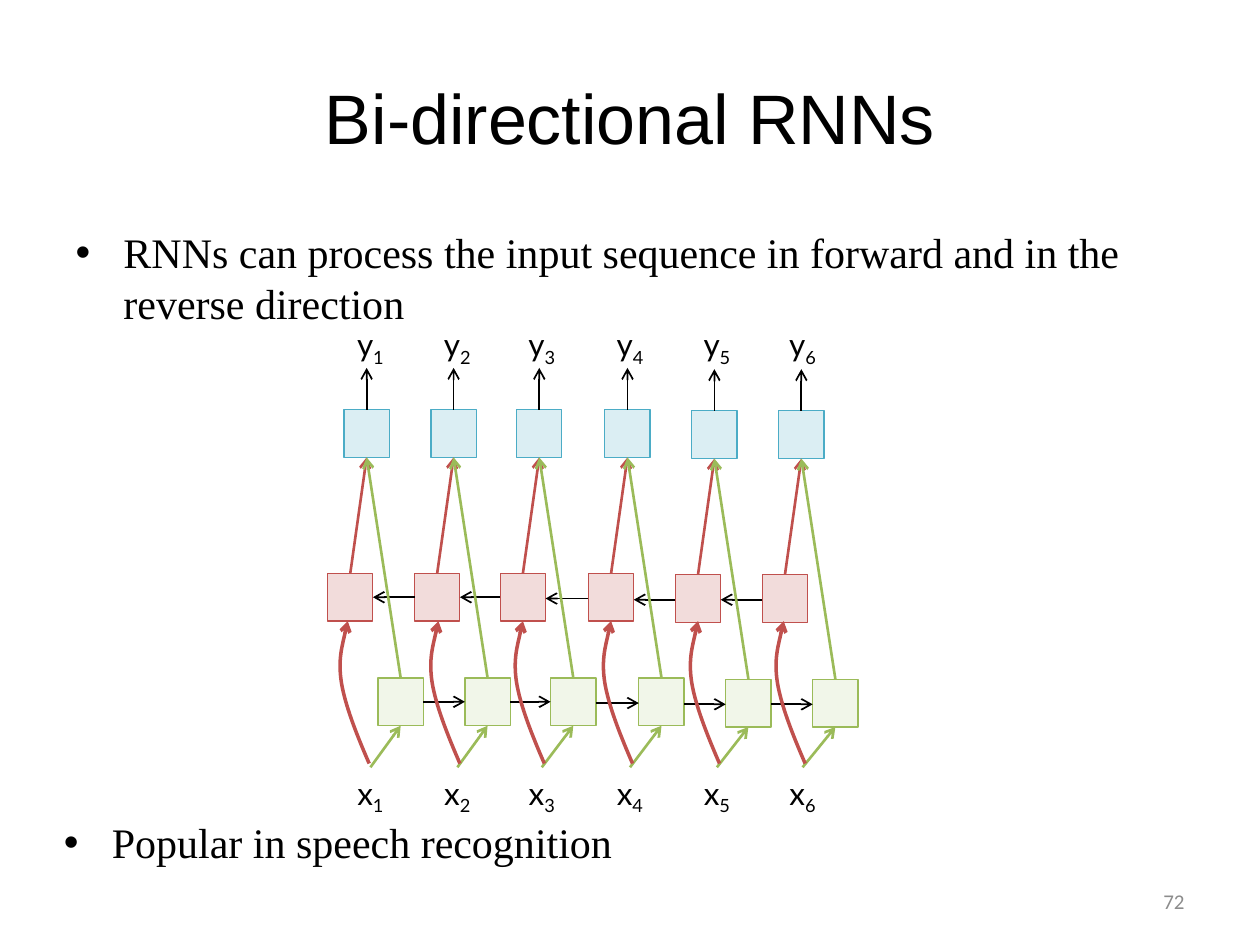
from lxml import etree
from pptx import Presentation
from pptx.dml.color import RGBColor
from pptx.enum import shapes, text
from pptx.oxml import ns
from pptx.util import Inches, Pt

COLORS = {
    "black": "000000", "gray": "8C8C8C",
    "green": "9BBB59", "green_fill": "D7E4BD",
    "blue": "4BACC6", "blue_fill": "93CDDD",
    "red": "C0504D", "red_fill": "D99694",
}
# Column offsets: cells, inputs, and the slight drop of cells and of links
CELL_X = [0, 0.69, 1.37, 2.07, 2.76, 3.45]
INPUT_X = [0, 0.69, 1.36, 2.06, 2.75, 3.43]
CELL_DROP = [0, 0, 0, 0, 0.01, 0.01]
LINK_DROP = [0, 0, 0.01, 0.02, 0.02]
CELL_W, CELL_H = 0.36, 0.38


def rgb(name):
    return RGBColor.from_string(COLORS[name])


def write(box, content, subscript="", size=18, font="Lato", color="black",
          align=None, anchor=None, wrap=True, fit=text.MSO_AUTO_SIZE.NONE, bullet=False):
    """Fill a box with one paragraph, optionally ending in a subscript."""
    frame = box.text_frame
    frame.word_wrap = wrap
    frame.auto_size = fit
    if anchor is not None:
        frame.vertical_anchor = anchor
    para = frame.paragraphs[0]
    if bullet:
        props = para._p.get_or_add_pPr()
        props.set("marL", str(Inches(0.38)))
        props.set("indent", str(Inches(-0.38)))
        etree.SubElement(props, ns.qn("a:buFont"), typeface="Arial")
        etree.SubElement(props, ns.qn("a:buChar"), char="•")
    para.space_before = Pt(0)
    if align is not None:
        para.alignment = align
    for part in filter(None, (content, subscript)):
        span = para.add_run()
        span.text = part
        span.font.size = Pt(size)
        span.font.name = font
        span.font.color.rgb = rgb(color)
    if subscript:
        span._r.get_or_add_rPr().set("baseline", "-25000")


class Sketch:
    def __init__(self, page, line_width=0.75):
        self.page = page
        self.line_width = line_width

    def place(self, box, left, top, width, height):
        box.left, box.top = Inches(left), Inches(top)
        box.width, box.height = Inches(width), Inches(height)
        return box

    def textbox(self, left, top, width, height, content, **style):
        box = self.page.shapes.add_textbox(
            Inches(left), Inches(top), Inches(width), Inches(height))
        write(box, content, **style)

    def label(self, left, top, letter, number):
        self.textbox(left, top, 0.44, 0.4, letter, subscript=str(number), wrap=False,
                     align=text.PP_ALIGN.CENTER, fit=text.MSO_AUTO_SIZE.SHAPE_TO_FIT_TEXT)

    def cell(self, left, top, color):
        box = self.page.shapes.add_shape(
            shapes.MSO_SHAPE.RECTANGLE, Inches(left), Inches(top),
            Inches(CELL_W), Inches(CELL_H))
        box.shadow.inherit = False
        box.fill.solid()
        box.fill.fore_color.rgb = rgb(color + "_fill")
        tint = box._element.spPr.find(".//" + ns.qn("a:srgbClr"))
        etree.SubElement(tint, ns.qn("a:alpha"), val="33000")
        box.line.color.rgb = rgb(color)
        box.line.width = Pt(self.line_width)

    def arrow_line(self, item, color, width):
        item.line.color.rgb = rgb(color)
        item.line.width = Pt(width)
        etree.SubElement(item.line._get_or_add_ln(), ns.qn("a:tailEnd"), type="arrow")

    def arrow(self, x1, y1, x2, y2, color="black", width=1.5):
        link = self.page.shapes.add_connector(
            shapes.MSO_CONNECTOR.STRAIGHT, Inches(x1), Inches(y1), Inches(x2), Inches(y2))
        self.arrow_line(link, color, width)
        etree.SubElement(link._element.spPr, ns.qn("a:effectLst"))

    def curve(self, points, color, width):
        """Draw joined cubic curves through start, handle, handle, end, ..."""
        points = [(Inches(x), Inches(y)) for x, y in points]
        builder = self.page.shapes.build_freeform(*points[0])
        builder.add_line_segments(points[3::3], close=False)
        bend = builder.convert_to_shape()
        # Turn each straight segment into a cubic one
        segments = bend._element.spPr.findall(".//" + ns.qn("a:lnTo"))
        for i, segment in enumerate(segments):
            cubic = etree.Element(ns.qn("a:cubicBezTo"))
            for x, y in points[3 * i + 1:3 * i + 4]:
                etree.SubElement(cubic, ns.qn("a:pt"),
                                 x=str(x - bend.left), y=str(y - bend.top))
            segment.getparent().replace(segment, cubic)
        bend.shadow.inherit = False
        bend.fill.background()
        self.arrow_line(bend, color, width)


def draw_network(sketch):
    columns = list(zip(CELL_X, INPUT_X, CELL_DROP))
    links = list(zip(CELL_X, CELL_X[1:], LINK_DROP))
    half = CELL_W / 2
    green, blue, red = 3, 2.73, 2.6
    green_top, blue_top, red_top = 5.38, 3.25, 4.55

    # Forward layer with inputs
    for number, (x, input_x, drop) in enumerate(columns, 1):
        sketch.cell(green + x, green_top + drop, "green")
        sketch.arrow(2.94 + input_x, 6.09, green + half + x, 5.76 + drop, "green")
        sketch.label(2.72 + input_x, 6.09, "x", number)
    for x, following, drop in links:
        sketch.arrow(green + CELL_W + x, 5.57 + drop, green + following, 5.57 + drop, width=1)

    # Output layer
    for number, (x, input_x, drop) in enumerate(columns, 1):
        middle = blue + half + x
        sketch.cell(blue + x, blue_top + drop, "blue")
        sketch.arrow(middle, blue_top + drop, middle, 2.92 + drop, width=1)
        sketch.label(2.72 + input_x, 2.53, "y", number)

    # Backward layer
    for x, _, drop in columns:
        sketch.cell(red + x, red_top + drop, "red")
        sketch.arrow(red + half + x, red_top + drop, blue + half + x, 3.63 + drop, "red")
    for x, following, drop in links:
        sketch.arrow(red + following, 4.74 + drop, red + CELL_W + x, 4.74 + drop, width=1)

    # Inputs to backward layer, then forward layer to outputs
    bend = [(0, 6.06), (-0.1, 5.83), (-0.19, 5.6), (-0.22, 5.42),
            (-0.25, 5.23), (-0.17, 4.93), (-0.17, 4.93)]
    for _, input_x, _ in columns:
        start = 2.96 + input_x if input_x else 2.93
        sketch.curve([(start + dx, y) for dx, y in bend], "red", 2)
    for x, _, drop in columns:
        sketch.arrow(green + half + x, green_top + drop, blue + half + x, 3.63 + drop, "green")


def main():
    deck = Presentation()
    deck.slide_width, deck.slide_height = Inches(10), Inches(7.5)
    page = deck.slides.add_slide(deck.slide_layouts[1])
    sketch = Sketch(page)

    # Title, page number and first point
    title = sketch.place(page.shapes.title, 0.5, 0.3, 9, 1.25)
    write(title, "Bi-directional RNNs", size=40, font="Arial",
          align=text.PP_ALIGN.CENTER, anchor=text.MSO_ANCHOR.MIDDLE)
    sketch.textbox(7.17, 6.95, 2.33, 0.4, "72", size=12, font="Calibri", color="gray",
                   align=text.PP_ALIGN.RIGHT, anchor=text.MSO_ANCHOR.MIDDLE)
    point = dict(size=24, font="Times New Roman", bullet=True)
    body = sketch.place(page.placeholders[1], 0.5, 1.75, 9.5, 1.15)
    write(body, "RNNs can process the input sequence in forward and in the reverse direction",
          **point)

    draw_network(sketch)

    # Closing point
    sketch.textbox(0.41, 6.43, 9.5, 0.75, "Popular in speech recognition", **point)
    deck.save("out.pptx")


if __name__ == "__main__":
    main()
